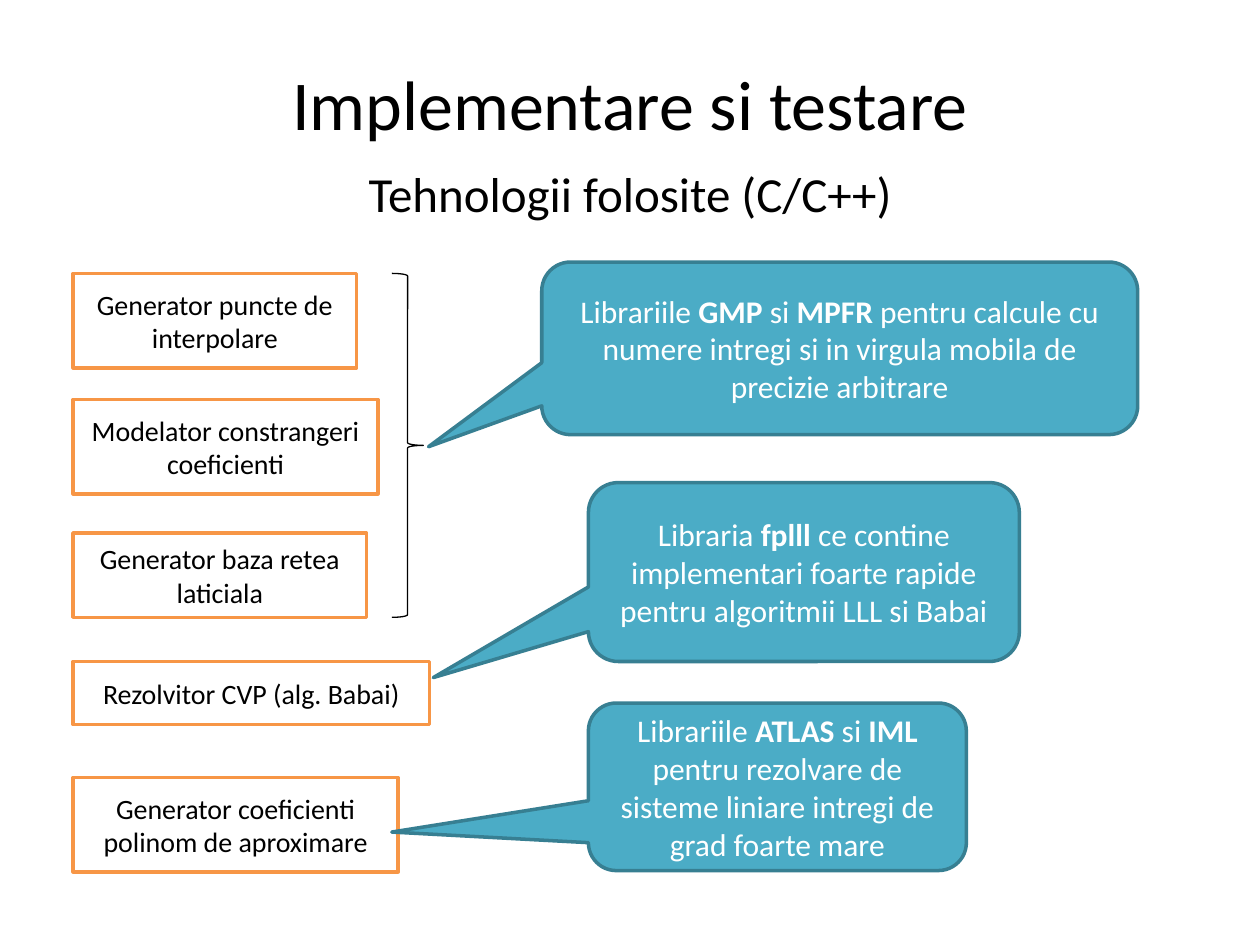
import pptx
import pptx.dml.color
import pptx.enum.shapes
import pptx.enum.text
import pptx.util
from pptx.util import Inches

RGBColor = pptx.dml.color.RGBColor
MSO_SHAPE = pptx.enum.shapes.MSO_SHAPE
MSO_ANCHOR = pptx.enum.text.MSO_ANCHOR

BLACK = RGBColor(0x00, 0x00, 0x00)
WHITE = RGBColor(0xFF, 0xFF, 0xFF)
ORANGE = RGBColor(0xF7, 0x96, 0x46)
TEAL = RGBColor(0x4B, 0xAC, 0xC6)
DARK_TEAL = RGBColor(0x37, 0x7F, 0x92)

STEP_LEFT = 0.58
# top, width, height, text
STEPS = [
    (2.17, 2.25, 0.75, "Generator puncte de interpolare"),
    (3.17, 2.42, 0.75, "Modelator constrangeri coeficienti"),
    (4.23, 2.33, 0.67, "Generator baza retea laticiala"),
    (5.25, 2.83, 0.5, "Rezolvitor CVP (alg. Babai)"),
    (6.17, 2.58, 0.75, "Generator coeficienti polinom de aproximare"),
]
# box, pointer offset, text parts (every second part is bold)
LIBRARIES = [
    ((4.3, 2.08, 4.73, 1.37), (-0.69, 0.57),
     ["Librariile ", "GMP ", "si ", "MPFR ",
      "pentru calcule cu numere intregi si in virgula mobila de precizie arbitrare"]),
    ((4.67, 3.83, 3.42, 1.42), (-0.86, 0.59),
     ["Libraria ", "fplll ",
      "ce contine implementari foarte rapide pentru algoritmii LLL si Babai"]),
    ((4.67, 5.58, 3, 1.33), (-1.02, 0.27),
     ["Librariile ", "ATLAS ", "si ", "IML ",
      "pentru rezolvare de sisteme liniare intregi de grad foarte mare"]),
]


def apply_format(target, values):
    """Set each attribute named in values on target."""
    for name, value in values.items():
        setattr(target, name, value)


def write_text(shape, parts, size, color, anchor=MSO_ANCHOR.MIDDLE):
    """Write one centred paragraph whose every second part is bold."""
    apply_format(shape.text_frame, {"word_wrap": True, "vertical_anchor": anchor})
    paragraph = shape.text_frame.paragraphs[0]
    paragraph.alignment = pptx.enum.text.PP_ALIGN.CENTER
    for index, part in enumerate(parts):
        run = paragraph.add_run()
        run.text = part
        apply_format(run.font, {"name": "Calibri", "size": pptx.util.Pt(size),
                                "bold": index % 2 == 1})
        run.font.color.rgb = color


def add_heading(slide, box, text, size, anchor):
    """Add a centred line of heading text."""
    shape = slide.shapes.add_textbox(*map(Inches, box))
    write_text(shape, [text], size, BLACK, anchor)


def add_outlined(slide, kind, box, fill, line, width):
    """Add a preset shape without shadow; a fill of None leaves it empty."""
    shape = slide.shapes.add_shape(kind, *map(Inches, box))
    shape.shadow.inherit = False
    if fill is None:
        shape.fill.background()
    else:
        shape.fill.solid()
        shape.fill.fore_color.rgb = fill
    shape.line.color.rgb = line
    shape.line.width = pptx.util.Pt(width)
    return shape


def add_step(slide, top, width, height, text):
    """Add one orange-framed program step."""
    shape = add_outlined(slide, MSO_SHAPE.RECTANGLE,
                         (STEP_LEFT, top, width, height), WHITE, ORANGE, 2)
    write_text(shape, [text], 16, BLACK)


def add_library(slide, box, pointer, parts):
    """Add a teal callout pointing at the step that uses the library."""
    shape = add_outlined(slide, MSO_SHAPE.ROUNDED_RECTANGULAR_CALLOUT,
                         box, TEAL, DARK_TEAL, 2)
    for index, value in enumerate(pointer):
        shape.adjustments[index] = value
    write_text(shape, parts, 18, WHITE)


def main():
    """Build the slide and save it."""
    presentation = pptx.Presentation()
    apply_format(presentation, {"slide_width": Inches(10), "slide_height": Inches(7.5)})
    slide = presentation.slides.add_slide(presentation.slide_layouts[6])
    add_heading(slide, (0.5, 0.3, 9, 1.03), "Implementare si testare", 40, MSO_ANCHOR.MIDDLE)
    add_heading(slide, (2.5, 1.25, 5, 0.57), "Tehnologii folosite (C/C++)", 28, MSO_ANCHOR.TOP)
    for step in STEPS:
        add_step(slide, *step)
    add_outlined(slide, MSO_SHAPE.RIGHT_BRACE, (3.11, 2.17, 0.25, 2.73), None, BLACK, 0.75)
    for library in LIBRARIES:
        add_library(slide, *library)
    presentation.save("out.pptx")


main()
